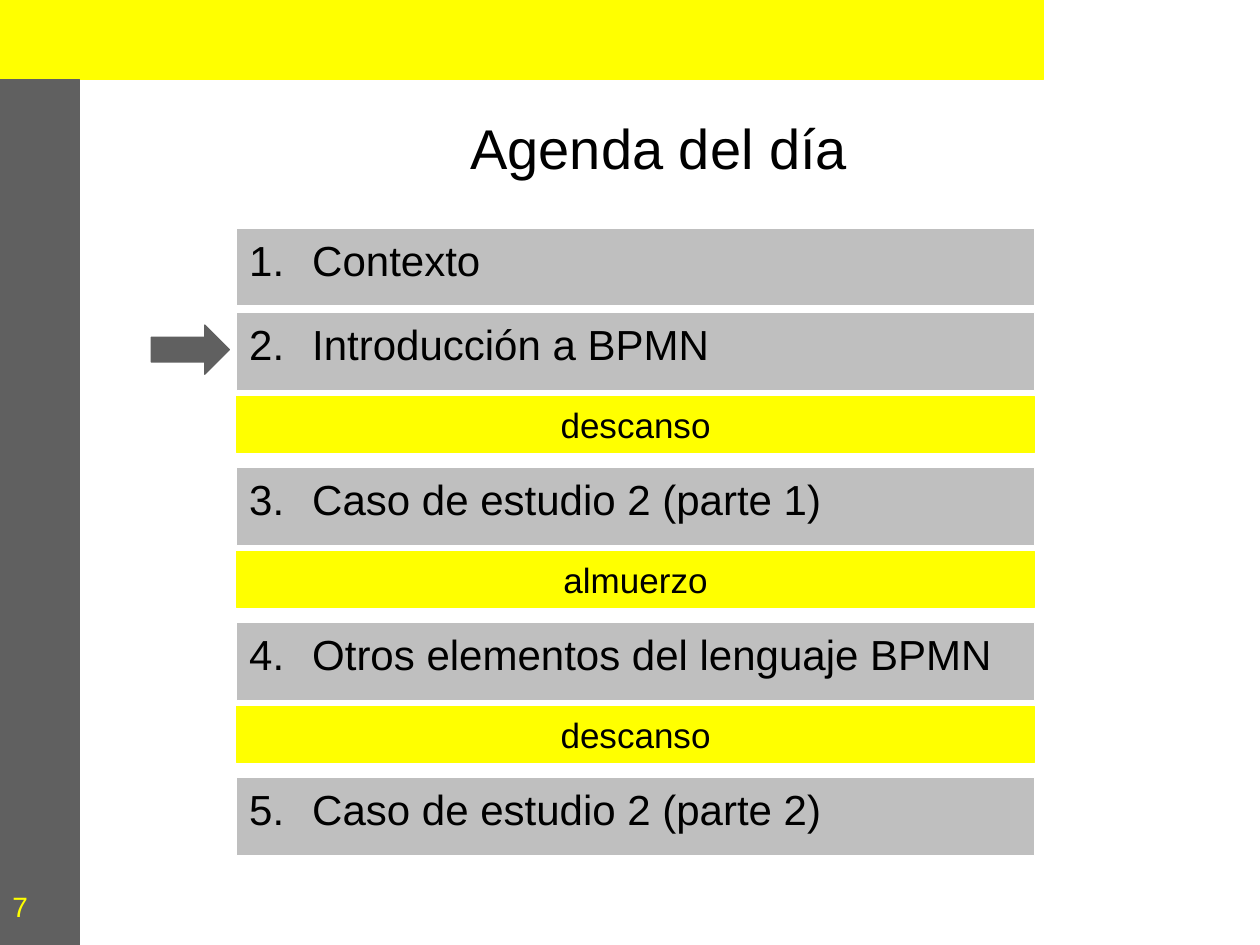
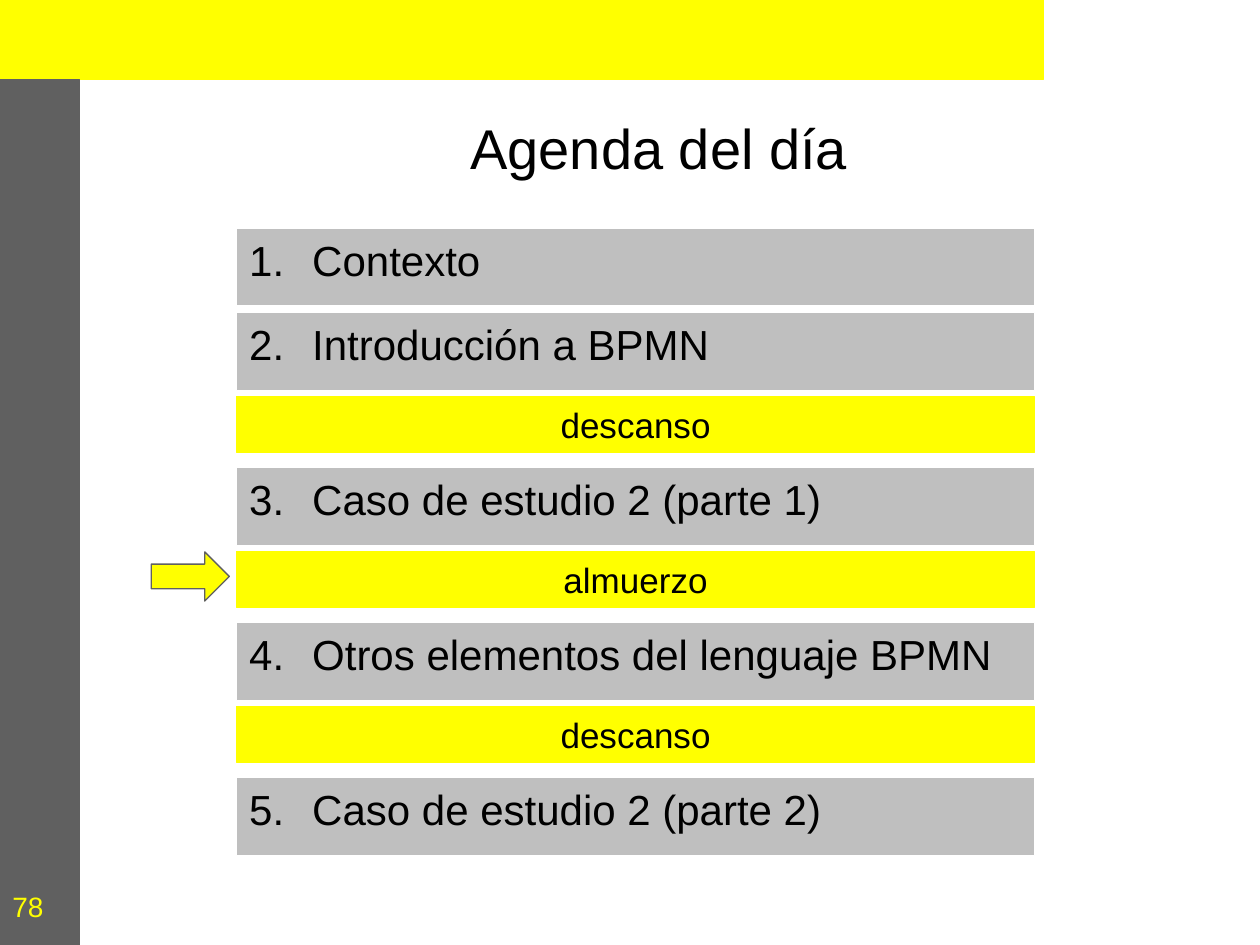
import pptx
import pptx.util
import pptx.dml.color
import pptx.enum.shapes
import pptx.enum.text
from dataclasses import dataclass
from lxml import etree
from pptx.oxml.ns import qn

Inches = pptx.util.Inches
Shape = pptx.enum.shapes.MSO_SHAPE
Align = pptx.enum.text.PP_ALIGN
Anchor = pptx.enum.text.MSO_ANCHOR

# Content
TITLE = "Agenda del día"
AGENDA = [
    ("topic", "Contexto"),
    ("topic", "Introducción a BPMN"),
    ("break", "descanso"),
    ("topic", "Caso de estudio 2 (parte 1)"),
    ("break", "almuerzo"),
    ("topic", "Otros elementos del lenguaje BPMN"),
    ("break", "descanso"),
    ("topic", "Caso de estudio 2 (parte 2)"),
]
PAGES = [  # page number and index of the current agenda row
    {"number": "7", "current": 1},
    {"number": "78", "current": 4},
]


@dataclass(frozen=True)
class Theme:
    font: str = "Arial"
    yellow: str = "FFFF00"
    dark: str = "606060"
    grey: str = "BFBFBF"
    white: str = "FFFFFF"
    black: str = "000000"
    title_size: int = 32
    topic_size: int = 24
    break_size: int = 20
    number_size: int = 16
    line_width: float = 0.75


THEME = Theme()

# Layout in inches
BAND = 0.63
ROW_LEFT, ROW_TOP, ROW_WIDTH = 1.88, 1.81, 6.33
ROWS = {  # pitch is the distance to the next row
    "topic": {"height": 0.62, "pitch": 0.67, "arrow_drop": 0.1,
              "fill": THEME.grey, "line": THEME.white, "arrow": THEME.dark},
    "break": {"height": 0.44, "pitch": 0.56, "arrow_drop": 0,
              "fill": THEME.yellow, "line": THEME.yellow, "arrow": THEME.yellow},
}


def colour(value):
    return pptx.dml.color.RGBColor.from_string(value)


def add_block(page, kind, place, fill, line):
    block = page.shapes.add_shape(kind, *map(Inches, place))
    block.shadow.inherit = False
    block.fill.solid()
    block.fill.fore_color.rgb = colour(fill)
    block.line.color.rgb = colour(line)
    block.line.width = pptx.util.Pt(THEME.line_width)
    return block


def write(box, text, size, ink, align, anchor, number=None):
    frame = box.text_frame
    frame.word_wrap = True
    frame.vertical_anchor = anchor
    para = frame.paragraphs[0]
    para.text = text
    para.alignment = align
    if number:
        add_number(para, number)
    para.font.name = THEME.font
    para.font.size = pptx.util.Pt(size)
    para.font.color.rgb = colour(ink)


def add_number(para, number):
    properties = para._p.get_or_add_pPr()
    properties.set("marL", str(Inches(0.5)))
    properties.set("indent", str(-Inches(0.5)))
    etree.SubElement(properties, qn("a:buFont"), typeface=THEME.font)
    etree.SubElement(properties, qn("a:buAutoNum"),
                     type="arabicPeriod", startAt=str(number))


def add_frame(page, number):
    # Bands, title and page number
    add_block(page, Shape.RECTANGLE, (0, 0, 8.28, BAND), THEME.yellow, THEME.yellow)
    add_block(page, Shape.RECTANGLE, (0, BAND, BAND, 7.5 - BAND), THEME.dark, THEME.dark)
    title = page.shapes.add_textbox(*map(Inches, (0.62, 0.7, 9.22, 0.94)))
    write(title, TITLE, THEME.title_size, THEME.black, Align.CENTER, Anchor.MIDDLE)
    footer = page.shapes.add_textbox(*map(Inches, (0, 6.88, BAND, 0.62)))
    write(footer, number, THEME.number_size, THEME.yellow, Align.LEFT, Anchor.MIDDLE)


def add_agenda(page, current):
    top, topic_number = ROW_TOP, 0
    for index, (kind, text) in enumerate(AGENDA):
        row = ROWS[kind]
        box = add_block(page, Shape.RECTANGLE, (ROW_LEFT, top, ROW_WIDTH, row["height"]),
                        row["fill"], row["line"])
        if kind == "topic":
            topic_number += 1
            write(box, text, THEME.topic_size, THEME.black, Align.LEFT, Anchor.TOP, topic_number)
        else:
            write(box, text, THEME.break_size, THEME.black, Align.CENTER, Anchor.TOP)
        # Arrow beside the current row
        if index == current:
            add_block(page, Shape.RIGHT_ARROW, (1.2, top + row["arrow_drop"], 0.62, 0.39),
                      row["arrow"], THEME.dark)
        top += row["pitch"]


def main():
    deck = pptx.Presentation()
    deck.slide_width, deck.slide_height = Inches(10), Inches(7.5)
    for content in PAGES:
        page = deck.slides.add_slide(deck.slide_layouts[6])
        add_frame(page, content["number"])
        add_agenda(page, content["current"])
    deck.save("out.pptx")


if __name__ == "__main__":
    main()
